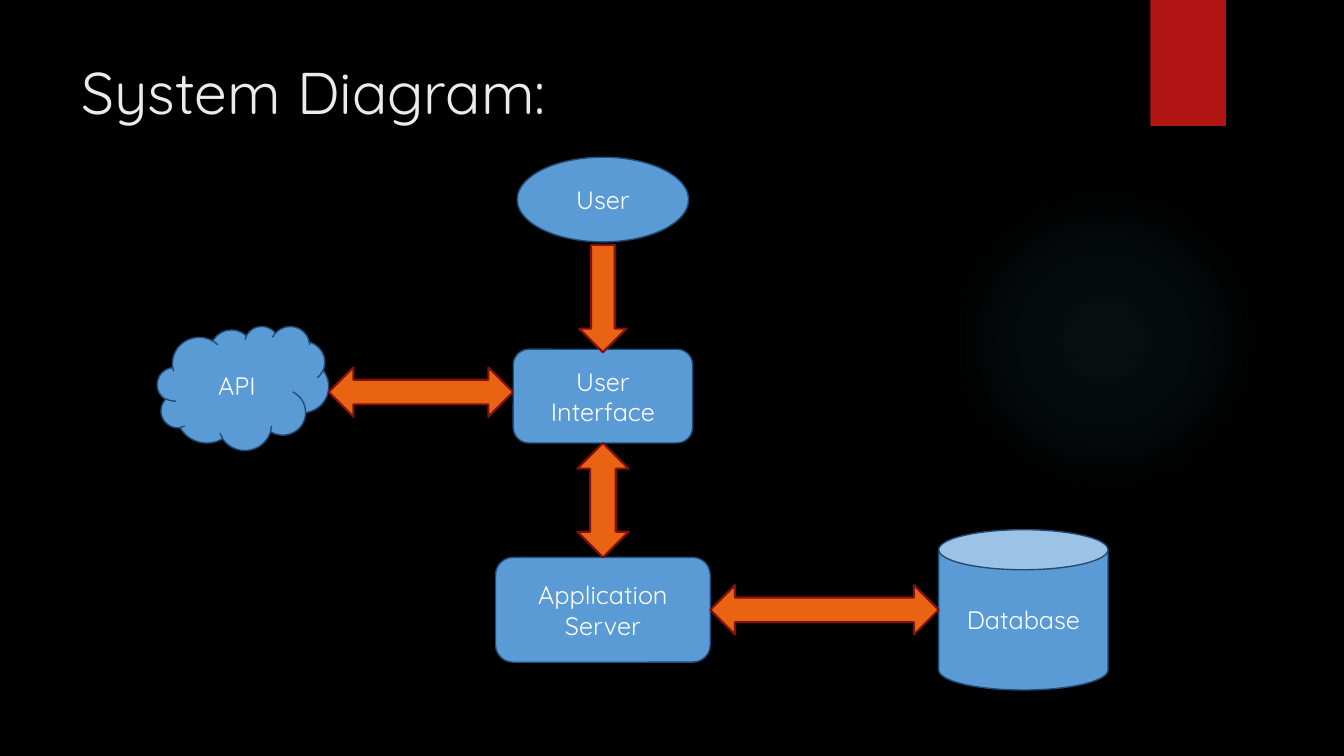
from dataclasses import dataclass

from lxml.etree import fromstring
from pptx import Presentation
from pptx.dml.color import RGBColor
from pptx.enum.shapes import MSO_SHAPE
from pptx.enum.text import MSO_ANCHOR, PP_ALIGN
from pptx.oxml.ns import nsdecls
from pptx.util import Inches, Pt


@dataclass(frozen=True)
class Theme:
    font: str = "Quicksand"
    title_size: float = 42
    label_size: float = 18
    background: str = "000000"
    title: str = "EBEBEB"
    label: str = "FFFFFF"
    ribbon: str = "B01513"
    glow: str = "50B9C1"
    node: str = "5B9BD5"
    node_line: str = "1F4D78"
    arrow: str = "EA6312"
    arrow_line: str = "82100E"


@dataclass(frozen=True)
class Box:
    """A rectangle on the slide's grid, whose columns and rows are one inch."""
    x: float
    y: float
    w: float
    h: float

    @property
    def right(self):
        return self.x + self.w

    @property
    def bottom(self):
        return self.y + self.h

    @property
    def cx(self):
        return self.x + self.w / 2

    @property
    def cy(self):
        return self.y + self.h / 2

    def emu(self):
        return [Inches(v) for v in (self.x, self.y, self.w, self.h)]


THEME = Theme()
SLIDE = Box(0, 0, 13.33, 7.5)

# Name: preset, centre column, centre row, width, height inside the diagram box
NODES = {
    "User Interface": (MSO_SHAPE.ROUNDED_RECTANGLE, 4.42, 2.37, 1.78, 0.93),
    "User": (MSO_SHAPE.OVAL, 4.42, 0.42, 1.7, 0.84),
    "Database": (MSO_SHAPE.CAN, 8.59, 4.49, 1.68, 1.59),
    "API": (MSO_SHAPE.CLOUD, 0.85, 2.29, 1.7, 1.23),
    "Application Server": (MSO_SHAPE.ROUNDED_RECTANGLE, 4.42, 4.49, 2.13, 1.04),
}


def write(tf, text, size, color, align=PP_ALIGN.LEFT, anchor=MSO_ANCHOR.TOP):
    tf.word_wrap = True
    tf.vertical_anchor = anchor
    p = tf.paragraphs[0]
    p.alignment = align
    r = p.add_run()
    r.text = text
    r.font.name = THEME.font
    r.font.size = Pt(size)
    r.font.color.rgb = RGBColor.from_string(color)


def add_block(s, preset, box, fill, line=None, width=1):
    sp = s.shapes.add_shape(preset, *box.emu())
    sp.shadow.inherit = False
    sp.fill.solid()
    sp.fill.fore_color.rgb = RGBColor.from_string(fill)
    if line:
        sp.line.color.rgb = RGBColor.from_string(line)
        sp.line.width = Pt(width)
    else:
        sp.line.fill.background()
    return sp


def add_glow(s, box):
    """Place a soft disc that fades out towards its rim."""
    sp = add_block(s, MSO_SHAPE.OVAL, box, THEME.glow)
    stops = "".join(
        f'<a:gs pos="{pos}000"><a:srgbClr val="{THEME.glow}">'
        f'<a:alpha val="{alpha}000"/></a:srgbClr></a:gs>'
        for pos, alpha in ((0, 7), (36, 6), (69, 0)))
    gradient = fromstring(
        f'<a:gradFill {nsdecls("a")}><a:gsLst>{stops}</a:gsLst><a:path path="circle">'
        '<a:fillToRect l="50000" t="50000" r="50000" b="50000"/></a:path></a:gradFill>')
    solid = sp.fill._xPr.solidFill if hasattr(sp.fill._xPr, "solidFill") else None
    if solid is None:
        solid = sp.element.spPr.find(
            "{http://schemas.openxmlformats.org/drawingml/2006/main}solidFill")
    solid.getparent().replace(solid, gradient)


def add_decoration(s, box):
    add_glow(s, Box(box.x + 9.41, box.y + 1.83, 3.08, 3.08))
    add_block(s, MSO_SHAPE.RECTANGLE, Box(box.x + 11.41, box.y, 0.75, 1.25), THEME.ribbon)


def add_title(s, box, text):
    title = s.shapes.title
    title.left, title.top, title.width, title.height = box.emu()
    write(title.text_frame, text, THEME.title_size, THEME.title)


def add_node(s, box, text, preset):
    sp = add_block(s, preset, box, THEME.node, THEME.node_line)
    write(sp.text_frame, text, THEME.label_size, THEME.label,
          align=PP_ALIGN.CENTER, anchor=MSO_ANCHOR.MIDDLE)


def add_arrow(s, preset, box):
    add_block(s, preset, box, THEME.arrow, THEME.arrow_line, width=1.5)


def link_across(s, left, right, thick=0.49):
    """Fill the gap between two neighbours with a double arrow."""
    y = (left.cy + right.cy - thick) / 2
    add_arrow(s, MSO_SHAPE.LEFT_RIGHT_ARROW,
              Box(left.right, y, right.x - left.right, thick))


def link_down(s, upper, lower, preset, thick, shift=0.0):
    """Fill the gap between two stacked nodes, moved down by shift."""
    add_arrow(s, preset, Box(upper.cx - thick / 2, upper.bottom + shift,
                             thick, lower.y - upper.bottom))


def add_diagram(s, box):
    at = {}
    for name, (preset, cx, cy, w, h) in NODES.items():
        at[name] = Box(box.x + cx - w / 2, box.y + cy - h / 2, w, h)
        add_node(s, at[name], name, preset)
    screen, server = at["User Interface"], at["Application Server"]
    link_across(s, at["API"], screen)
    link_across(s, server, at["Database"])
    link_down(s, at["User"], screen, MSO_SHAPE.DOWN_ARROW, 0.47, shift=0.03)
    link_down(s, screen, server, MSO_SHAPE.UP_DOWN_ARROW, 0.51)


def main():
    prs = Presentation()
    prs.slide_width, prs.slide_height = Inches(SLIDE.w), Inches(SLIDE.h)
    s = prs.slides.add_slide(prs.slide_layouts.get_by_name("Title Only"))
    s.background.fill.solid()
    s.background.fill.fore_color.rgb = RGBColor.from_string(THEME.background)
    add_decoration(s, SLIDE)
    add_title(s, Box(0.71, 0.5, 10.29, 0.91), "System Diagram:")
    add_diagram(s, Box(1.56, 1.56, 9.43, 5.28))
    prs.save("out.pptx")


if __name__ == "__main__":
    main()
